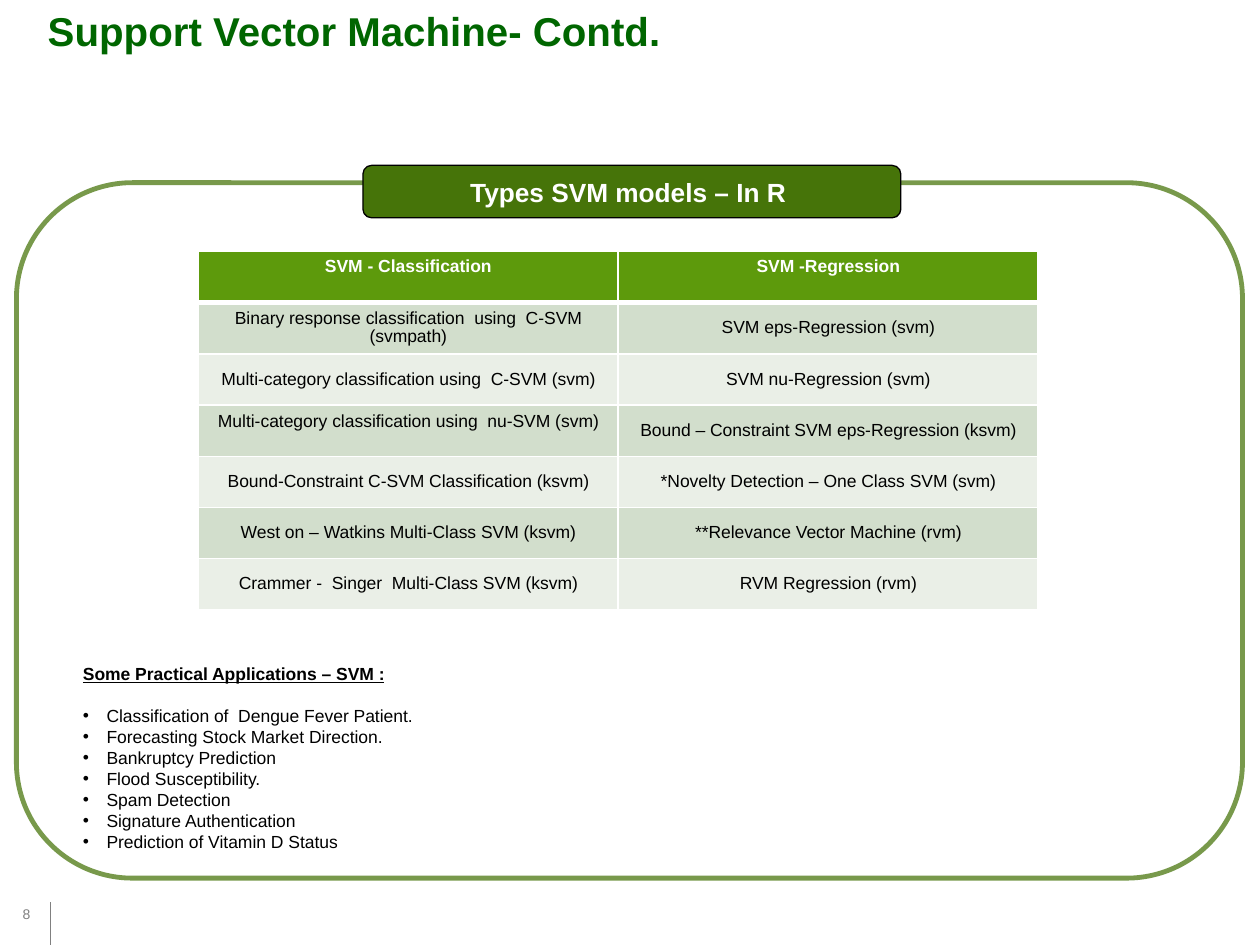
"""Build the slide on types of SVM models in R and their applications."""
from dataclasses import dataclass

from lxml import etree
from pptx import Presentation
from pptx import util as u
from pptx.dml.color import RGBColor
from pptx.enum import shapes, text
from pptx.oxml.ns import qn

ANCHOR = text.MSO_ANCHOR
ALIGN = text.PP_ALIGN
ROUNDED = shapes.MSO_SHAPE.ROUNDED_RECTANGLE


@dataclass(frozen=True)
class Theme:
    font: str = "Arial"
    title: str = "006600"
    accent: str = "467409"
    header: str = "5D9A0C"
    bands: tuple = ("D2DECC", "EAEFE7")
    ink: str = "000000"
    paper: str = "FFFFFF"
    muted: str = "808080"
    title_size: int = 23
    banner_size: int = 15
    body_size: int = 10
    number_size: int = 8


class SlideBuilder:
    def __init__(self, slide, theme):
        self.slide = slide
        self.theme = theme

    def run(self, paragraph, wording, size, color, bold=False, underline=False):
        run = paragraph.add_run()
        run.text = wording
        font = run.font
        font.name, font.size = self.theme.font, u.Pt(size)
        font.bold, font.underline = bold, underline
        font.color.rgb = RGBColor.from_string(color)

    def text_box(self, box, anchor=ANCHOR.TOP):
        frame = self.slide.shapes.add_textbox(*map(u.Pt, box)).text_frame
        frame.word_wrap = True
        frame.vertical_anchor = anchor
        return frame

    def label(self, box, wording, size, color, bold=False, anchor=ANCHOR.TOP):
        frame = self.text_box(box, anchor)
        self.run(frame.paragraphs[0], wording, size, color, bold)

    def rounded(self, box, fill, line, width, opacity=100):
        shape = self.slide.shapes.add_shape(ROUNDED, *map(u.Pt, box))
        shape.shadow.inherit = False
        shape.fill.solid()
        shape.fill.fore_color.rgb = RGBColor.from_string(fill)
        shape.line.color.rgb = RGBColor.from_string(line)
        shape.line.width = u.Pt(width)
        if opacity < 100:
            color = shape.line._ln.find(".//" + qn("a:srgbClr"))
            etree.SubElement(color, qn("a:alpha"), val=str(opacity * 1000))
        return shape

    def banner(self, box, wording):
        theme = self.theme
        frame = self.rounded(box, theme.accent, theme.ink, 0.75).text_frame
        frame.vertical_anchor = ANCHOR.MIDDLE
        frame.margin_left = frame.margin_right = u.Pt(3.6)
        paragraph = frame.paragraphs[0]
        paragraph.alignment = ALIGN.CENTER
        self.run(paragraph, wording, theme.banner_size, theme.paper, True)

    def rule(self, start, end):
        line = self.slide.shapes.add_connector(
            shapes.MSO_CONNECTOR.STRAIGHT, *map(u.Pt, start + end))
        line.line.color.rgb = RGBColor.from_string(self.theme.muted)
        line.line.width = u.Pt(0.5)
        etree.SubElement(line._element.spPr, qn("a:effectLst"))

    def borders(self, cell, widths):
        properties = cell._tc.get_or_add_tcPr()
        for side, width in widths.items():
            border = etree.SubElement(properties, qn(f"a:ln{side}"), w=str(u.Pt(width)))
            fill = etree.SubElement(border, qn("a:solidFill"))
            etree.SubElement(fill, qn("a:srgbClr"), val=self.theme.paper)

    def cell(self, cell, wording, row):
        theme = self.theme
        is_header = row == 0
        self.borders(cell, {"L": 1, "R": 1, "T": 3 if row == 1 else 1,
                            "B": 3 if is_header else 1})
        cell.fill.solid()
        cell.fill.fore_color.rgb = RGBColor.from_string(
            theme.header if is_header else theme.bands[(row - 1) % 2])
        cell.vertical_anchor = ANCHOR.TOP if is_header else ANCHOR.MIDDLE
        paragraph = cell.text_frame.paragraphs[0]
        paragraph.alignment = ALIGN.CENTER
        paragraph.line_spacing = 0.93
        self.run(paragraph, wording, theme.body_size,
                 theme.paper if is_header else theme.ink, is_header)

    def table(self, box, rows):
        frame = self.slide.shapes.add_table(len(rows), len(rows[0]), *map(u.Pt, box))
        table = frame.table
        for index, wordings in enumerate(rows):
            table.rows[index].height = u.Pt(box[3] / len(rows))
            for column, wording in enumerate(wordings):
                self.cell(table.cell(index, column), wording, index)
        return table

    def bullet_list(self, box, heading, items):
        theme = self.theme
        frame = self.text_box(box)
        paragraph = frame.paragraphs[0]
        paragraph.line_spacing = paragraph.space_after = u.Pt(12)
        self.run(paragraph, heading, theme.body_size, theme.ink, True, True)
        for item in items:
            paragraph = frame.add_paragraph()
            paragraph.line_spacing = u.Pt(12)
            properties = paragraph._p.get_or_add_pPr()
            properties.set("marL", str(u.Pt(13.5)))
            properties.set("indent", str(-u.Pt(13.5)))
            etree.SubElement(properties, qn("a:buFont"), typeface=theme.font)
            etree.SubElement(properties, qn("a:buChar"), char="•")
            self.run(paragraph, item, theme.body_size, theme.ink)


MODELS = [
    ("SVM - Classification", "SVM -Regression"),
    ("Binary response classification  using  C-SVM (svmpath)",
     "SVM eps-Regression (svm)"),
    ("Multi-category classification using  C-SVM (svm)", "SVM nu-Regression (svm)"),
    ("Multi-category classification using  nu-SVM (svm)",
     "Bound – Constraint SVM eps-Regression (ksvm)"),
    ("Bound-Constraint C-SVM Classification (ksvm)",
     "*Novelty Detection – One Class SVM (svm)"),
    ("West on – Watkins Multi-Class SVM (ksvm)", "**Relevance Vector Machine (rvm)"),
    ("Crammer -  Singer  Multi-Class SVM (ksvm)", "RVM Regression (rvm)"),
]
APPLICATIONS = [
    "Classification of  Dengue Fever Patient.",
    "Forecasting Stock Market Direction.",
    "Bankruptcy Prediction",
    "Flood Susceptibility.",
    "Spam Detection",
    "Signature Authentication",
    "Prediction of Vitamin D Status",
]


def main():
    presentation = Presentation()
    presentation.slide_width, presentation.slide_height = u.Pt(720), u.Pt(540)
    slide = presentation.slides.add_slide(presentation.slide_layouts[6])
    theme = Theme()
    builder = SlideBuilder(slide, theme)

    builder.rule((28.8, 540), (28.8, 515.5))
    builder.label((5.8, 493.2, 25.2, 37.4), "8", theme.number_size, theme.muted,
                  anchor=ANCHOR.BOTTOM)
    builder.label((20.2, 0, 671.8, 77.8), "Support Vector Machine- Contd.",
                  theme.title_size, theme.title, bold=True)
    builder.rounded((9.4, 104.4, 700.6, 397.4), theme.paper, theme.accent, 2.75, 73)
    builder.banner((207.4, 94.5, 307.4, 30), "Types SVM models – In R ")
    table = builder.table((113.3, 143.6, 480, 204.4), MODELS)
    table.cell(3, 0).margin_bottom = u.Pt(14)
    builder.bullet_list((40.3, 375.4, 653, 128), "Some Practical Applications – SVM :",
                        APPLICATIONS)
    presentation.save("out.pptx")


if __name__ == "__main__":
    main()
